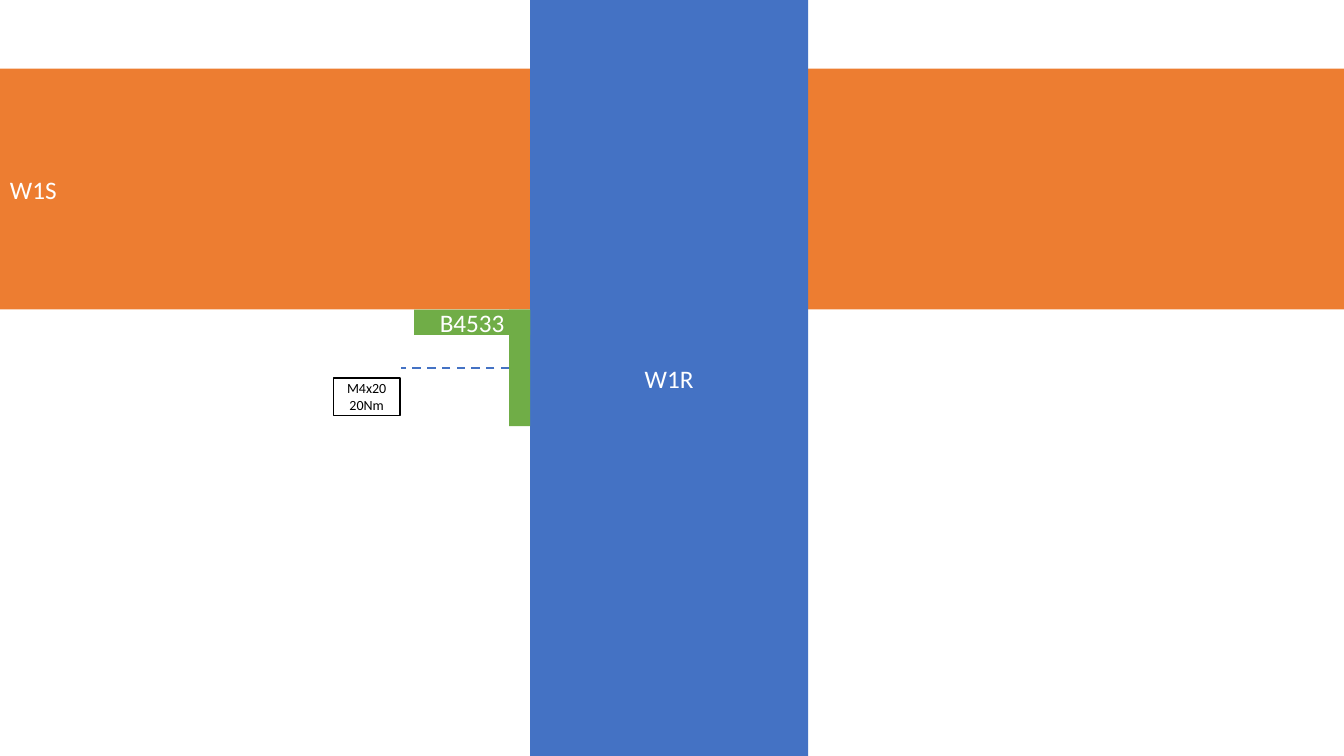
from dataclasses import dataclass

from pptx import Presentation
from pptx.dml.color import RGBColor
from pptx.enum.dml import MSO_LINE_DASH_STYLE as Dash
from pptx.enum.shapes import MSO_CONNECTOR_TYPE as Connector, MSO_SHAPE as Shape
from pptx.enum.text import MSO_ANCHOR as Anchor, PP_ALIGN as Align
from pptx.oxml.ns import qn
from pptx.util import Cm, Pt


@dataclass(frozen=True)
class Theme:
    font: str = "Calibri"
    white: RGBColor = RGBColor.from_string("FFFFFF")
    black: RGBColor = RGBColor.from_string("000000")
    orange: RGBColor = RGBColor.from_string("ED7D31")
    blue: RGBColor = RGBColor.from_string("4472C4")
    green: RGBColor = RGBColor.from_string("70AD47")
    label: Pt = Pt(18)
    small: Pt = Pt(10)


THEME = Theme()


def set_attributes(target, values):
    for name, value in values.items():
        setattr(target, name, value)


def write_lines(box, lines, size, color, align):
    frame = box.text_frame
    set_attributes(frame, {"word_wrap": True, "vertical_anchor": Anchor.MIDDLE})
    for index, line in enumerate(lines):
        para = frame.add_paragraph() if index else frame.paragraphs[0]
        para.alignment = align
        span = para.add_run()
        span.text = line
        set_attributes(span.font, {"name": THEME.font, "size": size})
        span.font.color.rgb = color


def add_block(page, place, fill, lines=(), size=THEME.label,
              color=THEME.white, align=Align.CENTER, outline=None):
    box = page.shapes.add_shape(Shape.RECTANGLE, *map(Cm, place))
    box.shadow.inherit = False
    box.fill.solid()
    box.fill.fore_color.rgb = fill
    if outline is None:
        box.line.fill.background()
    else:
        box.line.color.rgb = outline
        box.line.width = Pt(1)
    write_lines(box, lines, size, color, align)
    return box


def add_bolt_axis(page, plate, left):
    middle = plate.top + plate.height // 2
    axis = page.shapes.add_connector(
        Connector.STRAIGHT, plate.left, middle, Cm(left), middle)
    axis.begin_connect(plate, 1)
    axis.line.color.rgb = THEME.blue
    set_attributes(axis.line, {"width": Pt(1.5), "dash_style": Dash.DASH})
    properties = axis.element.spPr
    properties.append(properties.makeelement(qn("a:effectLst"), {}))


def main():
    deck = Presentation()
    set_attributes(deck, {"slide_width": Cm(33.87), "slide_height": Cm(19.05)})
    page = deck.slides.add_slide(deck.slide_layouts[6])

    add_block(page, (0, 1.73, 33.87, 6.07), THEME.orange, ["W1S"], align=Align.LEFT)
    add_block(page, (13.36, 0, 7.01, 19.05), THEME.blue, ["W1R"])
    add_block(page, (10.44, 7.8, 2.92, 0.64), THEME.green, ["B4533"])
    bracket_leg = add_block(page, (12.83, 7.8, 0.53, 2.94), THEME.green)
    add_bolt_axis(page, bracket_leg, 10.11)
    add_block(page, (8.4, 9.53, 1.68, 0.94), THEME.white, ["M4x20", "20Nm"],
              size=THEME.small, color=THEME.black, outline=THEME.black)

    deck.save("out.pptx")


if __name__ == "__main__":
    main()
